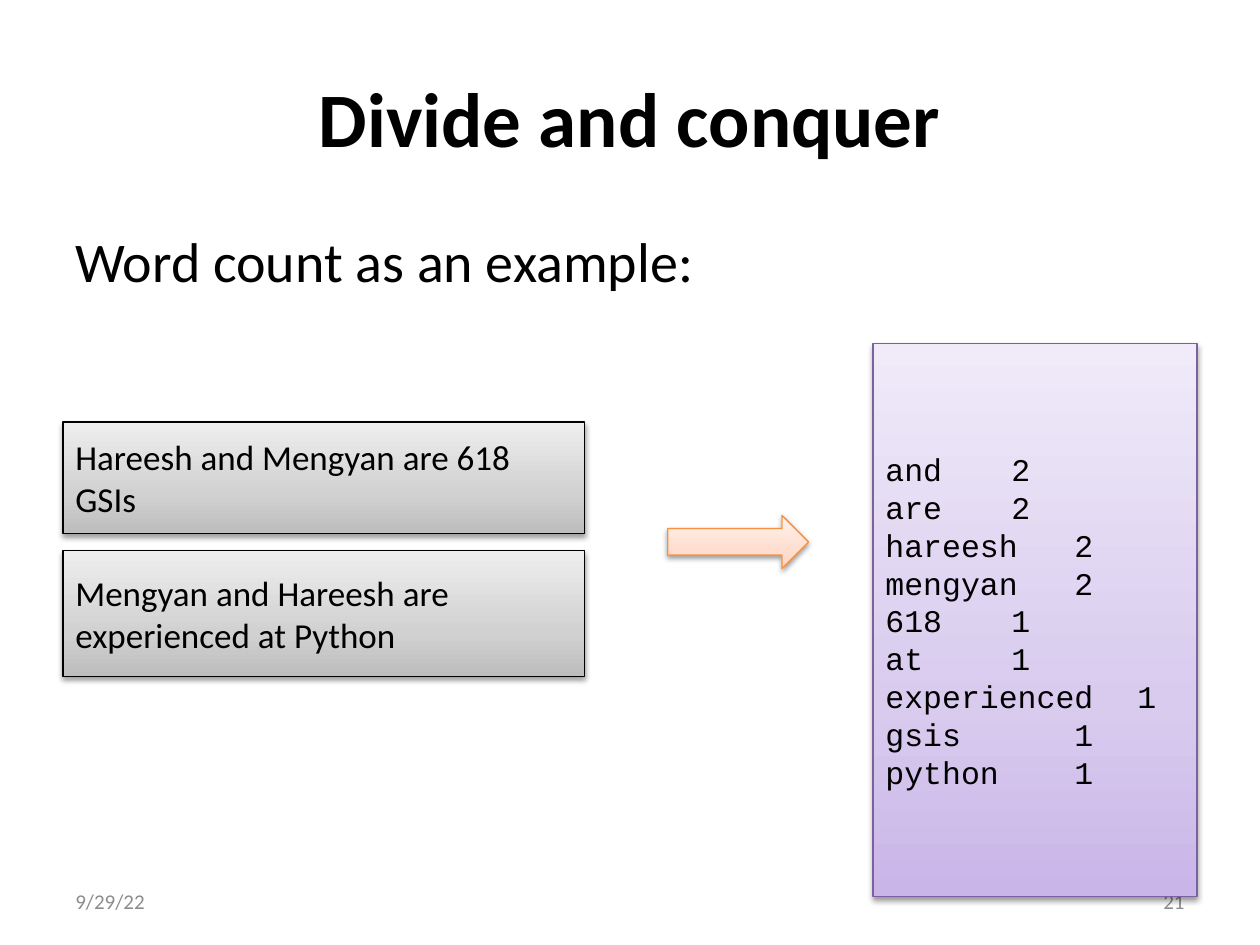
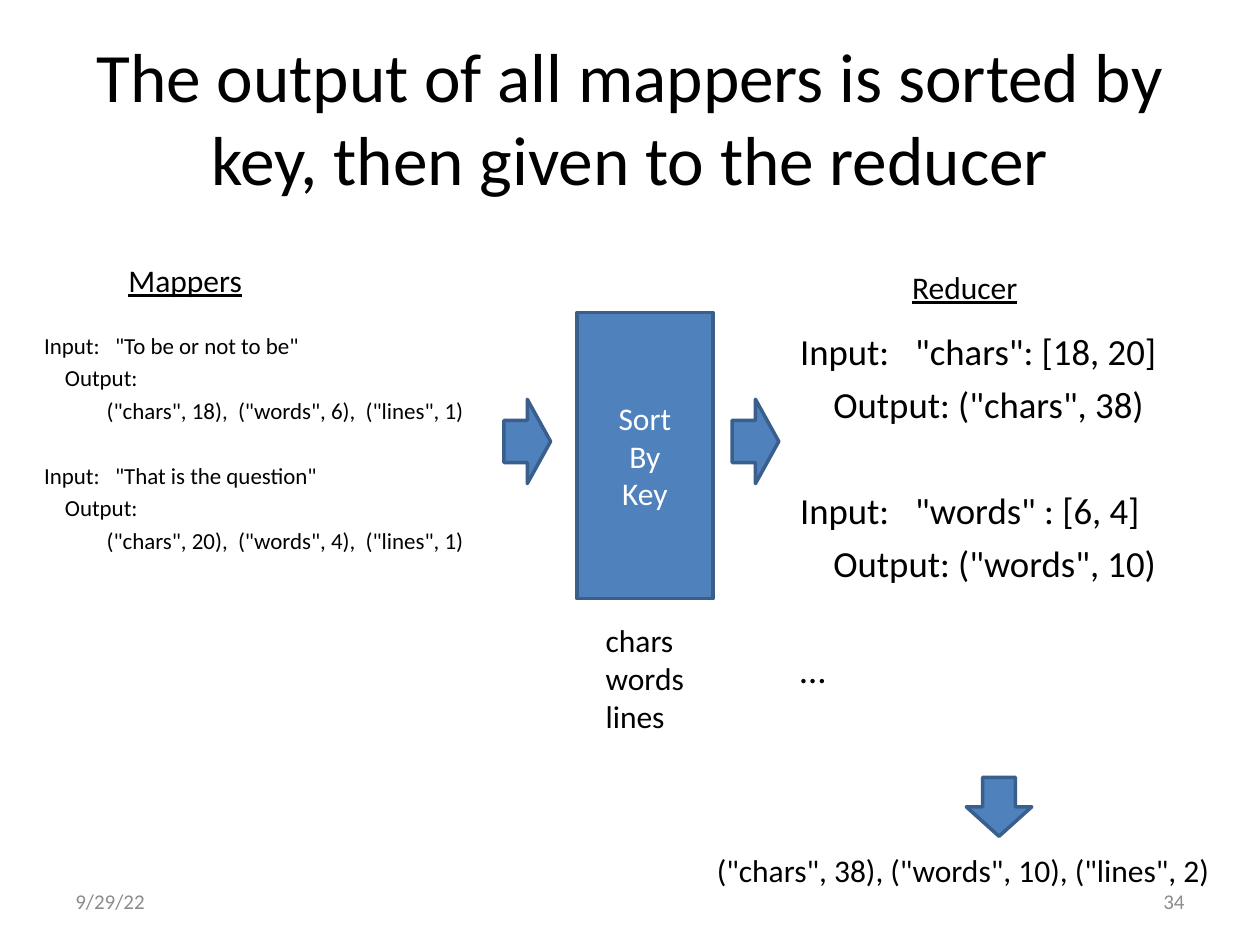
from lxml import etree
from pptx import Presentation
from pptx.dml.color import RGBColor
from pptx.enum.shapes import MSO_SHAPE as SHAPE
from pptx.enum.text import MSO_ANCHOR as ANCHOR, PP_ALIGN as ALIGN
from pptx.oxml import parse_xml
from pptx.oxml.ns import nsdecls, qn
from pptx.util import Cm, Pt

BLACK, WHITE, MUTED = "000000", "FFFFFF", "8C8C8C"
GRAY = {"stops": ("BDBDBD", "D1D1D1", "EEEEEE"), "line": BLACK}
PURPLE = {"stops": ("C9B5E8", "D8CBEE", "F0EAF9"), "line": "7D60A0"}
ORANGE = {"stops": ("FFD2BD", "FFDED0", "FFF2ED"), "line": "F69240"}
BLUE = {"fill": "4F81BD", "line": "3A5F8C", "width": 2}
STOP_POSITIONS = (0, 35, 100)

DATE = "9/29/22"
MARGIN, CONTENT_W = 1.27, 22.86
TITLE_BOX = (MARGIN, 0.76, CONTENT_W, 3.18)
FOOTER_Y, FOOTER_W, FOOTER_H = 17.65, 5.92, 1.02
TAB_STEP = 1.27

INTRO = "Word count as an example:"
SENTENCES = [
    ("Hareesh and Mengyan are 618 GSIs", 8.51, 2.24),
    ("Mengyan and Hareesh are experienced at Python", 11.1, 2.54),
]
WORD_COUNTS = [
    ("and", 2), ("are", 2), ("hareesh", 2), ("mengyan", 2), ("618", 1),
    ("at", 1), ("experienced", 1), ("gsis", 1), ("python", 1),
]

MAPPERS = [
    [(0, 'Input:\t"To be or not to be"'), (1, "Output:"),
     (3, '("chars", 18),  ("words", 6),  ("lines", 1)')],
    [(0, 'Input:\t"That is the question"'), (1, "Output:"),
     (3, '("chars", 20),  ("words", 4),  ("lines", 1)')],
]
REDUCER = [
    [(0, 'Input:\t"chars": [18, 20]'), (1, 'Output: ("chars", 38)')],
    [(0, 'Input:\t"words" : [6, 4]'), (1, 'Output: ("words", 10)')],
    [(0, "…")],
]
STEPS = [
    (MAPPERS, (0.64, 6.71, 10.16, 5.69),
     {"size": 13.1, "spacing": 0.7, "gap": 26.2, "indent": 0.42, "tab": 1.43}),
    (REDUCER, (15.88, 6.6, 9.52, 12.09),
     {"size": 21, "spacing": 0.9, "gap": 38, "indent": 0.67, "tab": 2.32}),
]
HEADINGS = [("Mappers", (2.34, 5.13, 2.82, 1.02)),
            ("Reducer", (18.14, 5.28, 2.67, 1.02))]
LABELS = [
    (["chars", "words", "lines"], (11.96, 12.4, 2.11, 2.57)),
    (['("chars", 38), ("words", 10), ("lines", 2)'], (14.2, 17.04, 10.57, 1.02)),
]
FLOW_ARROWS = [
    (SHAPE.RIGHT_ARROW, (10.16, 8.05, 0.94, 1.7)),
    (SHAPE.RIGHT_ARROW, (14.76, 8.05, 0.94, 1.7)),
    (SHAPE.DOWN_ARROW, (19.48, 15.67, 1.32, 1.19)),
]


def rgb(value):
    return RGBColor.from_string(value)


def set_tabs(p, stops):
    tabs = etree.SubElement(p._p.get_or_add_pPr(), qn("a:tabLst"))
    for stop in stops:
        etree.SubElement(tabs, qn("a:tab"), pos=str(Cm(stop)), algn="l")


def write(tf, lines, size, color=BLACK, align=ALIGN.LEFT, anchor=ANCHOR.TOP,
          wrap=True, **font):
    tf.word_wrap, tf.vertical_anchor = wrap, anchor
    style = {"size": Pt(size), "name": "Calibri", **font}
    for i, line in enumerate(lines):
        p = tf.paragraphs[0] if i == 0 else tf.add_paragraph()
        p.alignment = align
        r = p.add_run()
        r.text = line
        r.font.color.rgb = rgb(color)
        for name, value in style.items():
            setattr(r.font, name, value)
    return tf.paragraphs


def add_text(s, box, lines, size, **style):
    tf = s.shapes.add_textbox(*map(Cm, box)).text_frame
    return write(tf, lines, size, **style)


def add_block(s, kind, box, look):
    sp = s.shapes.add_shape(kind, *map(Cm, box))
    sp.shadow.inherit = False
    sp.line.color.rgb = rgb(look["line"])
    sp.line.width = Pt(look.get("width", 0.75))
    if "fill" in look:
        sp.fill.solid()
        sp.fill.fore_color.rgb = rgb(look["fill"])
    else:
        shade(sp, look["stops"])
    return sp


def shade(sp, stops):
    sp.fill.gradient()
    sp.fill.gradient_angle = 90
    props = sp._element.spPr
    gradient = props.find(qn("a:gradFill")).find(qn("a:gsLst"))
    for old in list(gradient):
        gradient.remove(old)
    for pos, color in zip(STOP_POSITIONS, stops):
        gs = etree.SubElement(gradient, qn("a:gs"), pos=str(pos * 1000))
        etree.SubElement(gs, qn("a:srgbClr"), val=color)
    props.find(qn("a:effectLst")).append(parse_xml(
        f'<a:outerShdw {nsdecls("a")} blurRad="40000" dist="20000" '
        'dir="5400000" rotWithShape="0"><a:srgbClr val="000000">'
        '<a:alpha val="38000"/></a:srgbClr></a:outerShdw>'))


def add_steps(s, groups, box, layout):
    rows = [(level, text, g > 0 and i == 0)
            for g, group in enumerate(groups)
            for i, (level, text) in enumerate(group)]
    paragraphs = add_text(s, box, [text for _, text, _ in rows], layout["size"])
    for p, (level, text, starts_group) in zip(paragraphs, rows):
        p.line_spacing = layout["spacing"]
        p.space_before = Pt(layout["gap"] if starts_group else 7.5)
        p._p.get_or_add_pPr().set("marL", str(Cm(level * layout["indent"])))
        if "\t" in text:
            set_tabs(p, [layout["tab"]])


def new_slide(prs, title, number, size, bold=False):
    s = prs.slides.add_slide(prs.slide_layouts[6])
    add_text(s, TITLE_BOX, [title], size, align=ALIGN.CENTER,
             anchor=ANCHOR.MIDDLE, bold=bold)
    right = MARGIN + CONTENT_W - FOOTER_W
    for x, text, align in ((MARGIN, DATE, ALIGN.LEFT), (right, number, ALIGN.RIGHT)):
        add_text(s, (x, FOOTER_Y, FOOTER_W, FOOTER_H), [text], 12, color=MUTED,
                 align=align, anchor=ANCHOR.MIDDLE)
    return s


def word_count_slide(prs):
    s = new_slide(prs, "Divide and conquer", "21", 44, bold=True)
    add_text(s, (MARGIN, 4.45, CONTENT_W, 12.57), [INTRO], 32)
    for text, y, h in SENTENCES:
        sp = add_block(s, SHAPE.RECTANGLE, (MARGIN, y, 10.52, h), GRAY)
        write(sp.text_frame, [text], 20, anchor=ANCHOR.MIDDLE)
    sp = add_block(s, SHAPE.RECTANGLE, (17.6, 6.93, 6.53, 11.15), PURPLE)
    lines = [word + "\t" * (1 if len(word) > 6 else 2) + str(count)
             for word, count in WORD_COUNTS]
    for p in write(sp.text_frame, lines, 18, anchor=ANCHOR.MIDDLE, name="Courier New"):
        set_tabs(p, [TAB_STEP * n for n in range(1, 5)])
    add_block(s, SHAPE.RIGHT_ARROW, (13.46, 10.39, 2.84, 1.07), ORANGE)


def reducer_slide(prs):
    title = "The output of all mappers is sorted by key, then given to the reducer"
    s = new_slide(prs, title, "34", 39.6)
    for groups, box, layout in STEPS:
        add_steps(s, groups, box, layout)
    for text, box in HEADINGS:
        add_text(s, box, [text], 18, wrap=False, underline=True)
    sp = add_block(s, SHAPE.RECTANGLE, (11.63, 6.3, 2.74, 5.77), BLUE)
    write(sp.text_frame, ["Sort", "By", "Key"], 18, color=WHITE,
          align=ALIGN.CENTER, anchor=ANCHOR.MIDDLE)
    for kind, box in FLOW_ARROWS:
        add_block(s, kind, box, BLUE)
    for lines, box in LABELS:
        add_text(s, box, lines, 18, wrap=False)


def main():
    prs = Presentation()
    prs.slide_width, prs.slide_height = Cm(25.4), Cm(19.05)
    word_count_slide(prs)
    reducer_slide(prs)
    prs.save("out.pptx")


if __name__ == "__main__":
    main()
